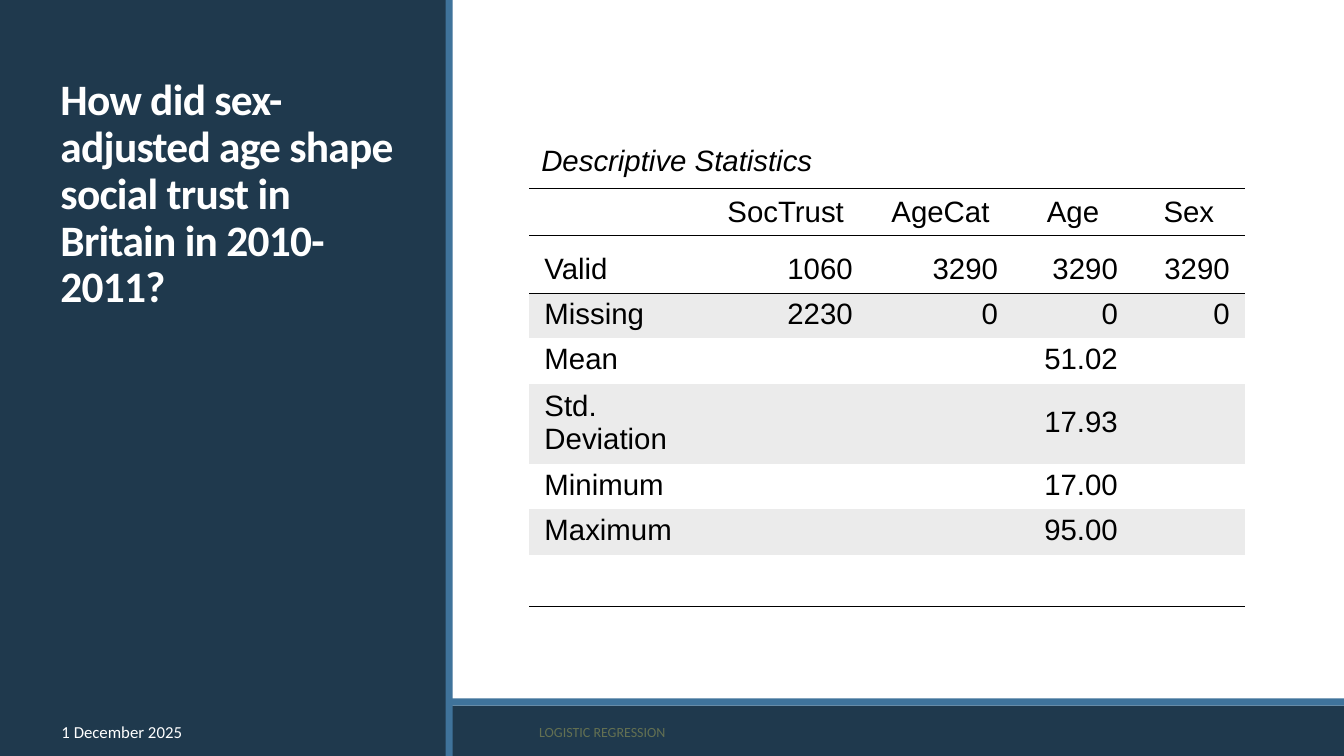
from dataclasses import dataclass
from typing import Any

from lxml import etree
from pptx import Presentation
from pptx.dml.color import RGBColor
from pptx.enum.shapes import MSO_SHAPE
from pptx.enum.text import MSO_ANCHOR, MSO_AUTO_SIZE, PP_ALIGN
from pptx.oxml.ns import qn
from pptx.util import Cm, Pt

RECTANGLE = MSO_SHAPE.RECTANGLE
MIDDLE, BOTTOM = MSO_ANCHOR.MIDDLE, MSO_ANCHOR.BOTTOM
LEFT, CENTER, RIGHT = PP_ALIGN.LEFT, PP_ALIGN.CENTER, PP_ALIGN.RIGHT
NO_AUTOSIZE = MSO_AUTO_SIZE.NONE
TITLE_ONLY_LAYOUT = 5
PLAIN_TABLE_STYLE = "{2D5ABB26-0587-4C30-8999-92F81FD0307C}"


@dataclass(frozen=True)
class Theme:
    navy: str = "1F394D"
    blue: str = "3F739B"
    white: str = "FFFFFF"
    black: str = "000000"
    olive: str = "637052"
    stripe: str = "EBEBEB"
    heading_font: str = "Calibri"
    table_font: str = "Arial"
    title_size: float = 31
    date_size: float = 12
    footer_size: float = 10
    table_size: float = 21
    rule_width: float = 0.83


@dataclass(frozen=True)
class Band:
    left: float
    top: float
    width: float
    height: float
    color: str


@dataclass(frozen=True)
class FooterNote:
    text: str
    left: float
    width: float
    size: float
    color: str


THEME = Theme()
SLIDE_WIDTH, SLIDE_HEIGHT = 33.87, 19.05
BANDS = [
    Band(0, 17.78, SLIDE_WIDTH, 1.27, THEME.navy),
    Band(0, 17.6, SLIDE_WIDTH, 0.18, THEME.blue),
    Band(0, 0, 11.25, SLIDE_HEIGHT, THEME.navy),
    Band(11.23, 0, 0.18, SLIDE_HEIGHT, THEME.blue),
]
FOOTER_NOTES = [
    FooterNote("1 December 2025", 1.3, 7.26, THEME.date_size, THEME.white),
    FooterNote("LOGISTIC REGRESSION", 13.34, 12.9, THEME.footer_size, THEME.olive),
]
QUESTION = "How did sex-adjusted age shape social trust in Britain in 2010-2011?"
STATISTICS = [
    ["Descriptive Statistics", "", "", "", ""],
    ["", "SocTrust", "AgeCat", "Age", "Sex"],
    ["Valid", "1060", "3290", "3290", "3290"],
    ["Missing", "2230", "0", "0", "0"],
    ["Mean", "", "", "51.02", ""],
    ["Std. Deviation", "", "", "17.93", ""],
    ["Minimum", "", "", "17.00", ""],
    ["Maximum", "", "", "95.00", ""],
    ["", "", "", "", ""],
]
COLUMN_WIDTHS = [4.39, 4.14, 3.66, 3.02, 2.82]
ROW_HEIGHTS = [1.37, 1.19, 1.45, 1.14, 1.14, 2.03, 1.14, 1.14, 1.32]
CAPTION_ROW, HEADER_ROW, FIRST_DATA_ROW, CLOSING_ROW = 0, 1, 2, 8
RULED_ROWS = {CAPTION_ROW: "B", HEADER_ROW: "BT", FIRST_DATA_ROW: "T", CLOSING_ROW: "B"}
CELL_MARGINS = {
    CAPTION_ROW: (0.3, 0.18, 0.18),
    HEADER_ROW: (0.38, 0.1, 0.1),
    FIRST_DATA_ROW: (0.38, 0.33, 0.1),
}
DATA_MARGINS = (0.38, 0.03, 0.1)


def apply_format(target: Any, values: dict[str, Any]) -> None:
    for attribute, value in values.items():
        setattr(target, attribute, value)


def style_font(font: Any, name: str, size: float, color: str, **extras: bool) -> None:
    apply_format(font, {"name": name, "size": Pt(size), **extras})
    font.color.rgb = RGBColor.from_string(color)


def draw_band(slide: Any, band: Band) -> None:
    bar = slide.shapes.add_shape(
        RECTANGLE, Cm(band.left), Cm(band.top), Cm(band.width), Cm(band.height)
    )
    bar.shadow.inherit = False
    bar.fill.solid()
    bar.fill.fore_color.rgb = RGBColor.from_string(band.color)
    bar.line.fill.background()


def draw_question(slide: Any) -> None:
    question = slide.shapes.title
    slide.shapes._spTree.append(question._element)
    apply_format(question, {
        "left": Cm(1.27), "top": Cm(1.65), "width": Cm(8.89), "height": Cm(6.35),
    })
    frame = question.text_frame
    apply_format(frame, {
        "text": QUESTION, "word_wrap": True,
        "auto_size": NO_AUTOSIZE, "vertical_anchor": BOTTOM,
    })
    paragraph = frame.paragraphs[0]
    apply_format(paragraph, {"alignment": LEFT, "line_spacing": 0.9})
    wording = paragraph.runs[0]
    style_font(wording.font, THEME.heading_font, THEME.title_size, THEME.white, bold=True)
    wording._r.get_or_add_rPr().set("spc", "-50")


def draw_footer_note(slide: Any, note: FooterNote) -> None:
    frame = slide.shapes.add_textbox(
        Cm(note.left), Cm(17.93), Cm(note.width), Cm(1.02)
    ).text_frame
    apply_format(frame, {"text": note.text, "word_wrap": True, "vertical_anchor": MIDDLE})
    paragraph = frame.paragraphs[0]
    paragraph.space_after = Pt(6)
    style_font(paragraph.runs[0].font, THEME.heading_font, note.size, note.color)


def rule_cell(cell: Any, edges: str) -> None:
    properties = cell._tc.get_or_add_tcPr()
    for edge in edges:
        rule = etree.Element(qn(f"a:ln{edge}"), w=str(Pt(THEME.rule_width)))
        paint = etree.SubElement(rule, qn("a:solidFill"))
        etree.SubElement(paint, qn("a:srgbClr"), val=THEME.black)
        properties.insert(0, rule)


def fill_cell(cell: Any, text: str, row: int, column: int) -> None:
    side, top, bottom = CELL_MARGINS.get(row, DATA_MARGINS)
    apply_format(cell, {
        "vertical_anchor": MIDDLE,
        "margin_left": Cm(side), "margin_right": Cm(side),
        "margin_top": Cm(top), "margin_bottom": Cm(bottom),
    })
    striped = row > FIRST_DATA_ROW and row % 2 == 1
    if row < FIRST_DATA_ROW:
        cell.fill.background()
    else:
        cell.fill.solid()
        cell.fill.fore_color.rgb = RGBColor.from_string(
            THEME.stripe if striped else THEME.white
        )
    rule_cell(cell, RULED_ROWS.get(row, ""))
    if text:
        cell.text = text
        paragraph = cell.text_frame.paragraphs[0]
        paragraph.alignment = (
            LEFT if column == 0 else CENTER if row == HEADER_ROW else RIGHT
        )
        style_font(paragraph.runs[0].font, THEME.table_font, THEME.table_size,
                   THEME.black, italic=row == CAPTION_ROW)


def draw_statistics(slide: Any) -> None:
    frame = slide.shapes.add_table(
        len(ROW_HEIGHTS), len(COLUMN_WIDTHS), Cm(13.34), Cm(3.38),
        Cm(sum(COLUMN_WIDTHS)), Cm(sum(ROW_HEIGHTS)),
    )
    table = frame.table
    apply_format(table, {"first_row": False, "horz_banding": False})
    table._tbl.tblPr.find(qn("a:tableStyleId")).text = PLAIN_TABLE_STYLE
    for column, width in zip(table.columns, COLUMN_WIDTHS):
        column.width = Cm(width)
    for row, height in zip(table.rows, ROW_HEIGHTS):
        row.height = Cm(height)
    for row_index, values in enumerate(STATISTICS):
        for column_index, text in enumerate(values):
            fill_cell(table.cell(row_index, column_index), text, row_index, column_index)
    for row_index in (CAPTION_ROW, CLOSING_ROW):
        table.cell(row_index, 0).merge(table.cell(row_index, len(COLUMN_WIDTHS) - 1))


def main() -> None:
    presentation = Presentation()
    apply_format(presentation, {
        "slide_width": Cm(SLIDE_WIDTH), "slide_height": Cm(SLIDE_HEIGHT),
    })
    slide = presentation.slides.add_slide(presentation.slide_layouts[TITLE_ONLY_LAYOUT])
    for band in BANDS:
        draw_band(slide, band)
    draw_question(slide)
    for note in FOOTER_NOTES:
        draw_footer_note(slide, note)
    draw_statistics(slide)
    presentation.save("out.pptx")


if __name__ == "__main__":
    main()
